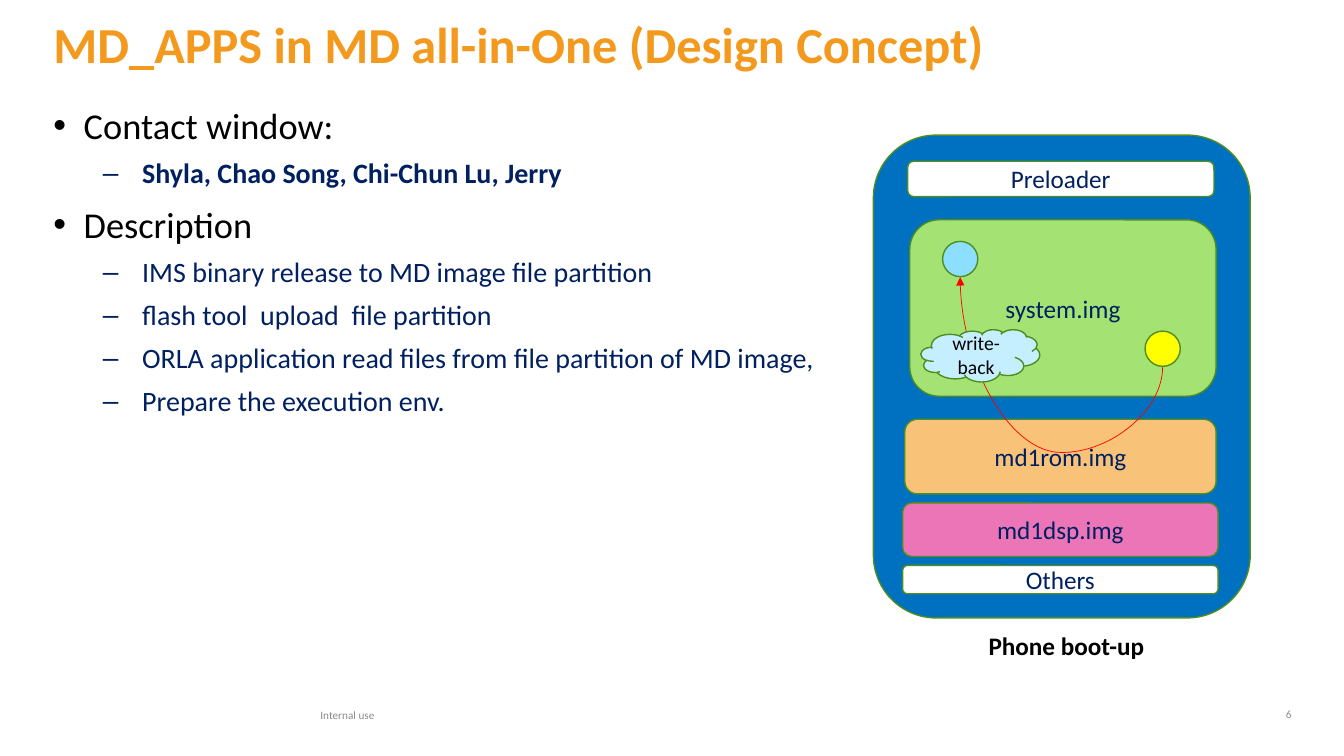
"""Build the MD_APPS design concept slide with its phone boot-up diagram."""
from lxml import etree
from pptx import Presentation
from pptx.dml.color import RGBColor
from pptx.enum import shapes, text
from pptx.oxml import ns
from pptx.util import Pt

ORANGE = RGBColor(0xF3, 0x9A, 0x1E)
BLACK = RGBColor(0, 0, 0)
WHITE = RGBColor(0xFF, 0xFF, 0xFF)
NAVY = RGBColor(0x00, 0x20, 0x60)
GREY = RGBColor(0x8C, 0x8C, 0x8C)
BLUE = RGBColor(0x00, 0x70, 0xC0)
GREEN = RGBColor(0xA4, 0xE2, 0x74)
DARK_GREEN = RGBColor(0x4E, 0x8D, 0x1E)
SAND = RGBColor(0xF8, 0xC2, 0x78)
PINK = RGBColor(0xEB, 0x75, 0xB6)
YELLOW = RGBColor(0xFF, 0xFF, 0x00)
SKY = RGBColor(0x8C, 0xDF, 0xFF)
PALE_SKY = RGBColor(0xC5, 0xEF, 0xFF)
RED = RGBColor(0xFF, 0, 0)
ROUND = shapes.MSO_SHAPE.ROUNDED_RECTANGLE
OVAL = shapes.MSO_SHAPE.OVAL
CLOUD = shapes.MSO_SHAPE.CLOUD
LEFT, CENTER, RIGHT = text.PP_ALIGN.LEFT, text.PP_ALIGN.CENTER, text.PP_ALIGN.RIGHT
TOP, MIDDLE = text.MSO_ANCHOR.TOP, text.MSO_ANCHOR.MIDDLE


def style(paragraph, size, color, bold=False, align=LEFT):
    paragraph.alignment = align
    for run in paragraph.runs:
        run.font.name = "Calibri"
        run.font.size = Pt(size)
        run.font.bold = bold
        run.font.color.rgb = color


def frame(holder, box, anchor):
    holder.left, holder.top, holder.width, holder.height = map(Pt, box)
    area = holder.text_frame
    area.margin_left = area.margin_top = area.margin_right = area.margin_bottom = 0
    area.word_wrap = True
    area.auto_size = text.MSO_AUTO_SIZE.NONE
    area.vertical_anchor = anchor
    return area


deck = Presentation()
deck.slide_width, deck.slide_height = Pt(960.5), Pt(540)
slide = deck.slides.add_slide(deck.slide_layouts[1])

heading = frame(slide.shapes.title, (38.2, 17.3, 884.2, 51.8), TOP)
heading.text = "MD_APPS in MD all-in-One (Design Concept)"
heading.paragraphs[0].line_spacing = 0.82
style(heading.paragraphs[0], 36, ORANGE, True)

POINTS = [
    (0, "Contact window:", False),
    (1, "Shyla, Chao Song, Chi-Chun Lu, Jerry", True),
    (0, "Description", False),
    (1, "IMS binary release to MD image file partition", False),
    (1, "flash tool  upload  file partition", False),
    (1, "ORLA application read files from file partition of MD image,", False),
    (1, "Prepare the execution env.", False),
]
LEVELS = [(26, BLACK, 12, 21.6, 21.6, "•"), (20, NAVY, 9, 63.4, 28.1, "–")]
outline = frame(slide.placeholders[1], (38.2, 77, 884.2, 401.8), TOP)
outline.text = "\n".join(point for _, point, _ in POINTS)
for paragraph, (level, _, bold) in zip(outline.paragraphs, POINTS):
    size, color, gap, margin, hang, bullet = LEVELS[level]
    paragraph.level = level
    paragraph.line_spacing = 0.9
    paragraph.space_before = Pt(gap)
    paragraph.space_after = Pt(0)
    style(paragraph, size, color, bold)
    properties = paragraph._p.get_or_add_pPr()
    properties.set("marL", str(Pt(margin)))
    properties.set("indent", str(-Pt(hang)))
    etree.SubElement(properties, ns.qn("a:buFont")).set("typeface", "Arial")
    etree.SubElement(properties, ns.qn("a:buChar")).set("char", bullet)

LABELS = [
    ("Internal use", (229, 504.7, 340.6, 11.5), MIDDLE, 8, GREY, False, LEFT),
    ("6", (893.5, 504, 29.5, 11.5), MIDDLE, 8, GREY, False, RIGHT),
    ("Phone boot-up", (630.7, 450, 262.8, 16.6), TOP, 18, BLACK, True, CENTER),
]
for label, box, anchor, size, color, bold, align in LABELS:
    caption = frame(slide.shapes.add_textbox(*map(Pt, box)), box, anchor)
    caption.text = label
    style(caption.paragraphs[0], size, color, bold, align)

PARTS = [
    (ROUND, (624.2, 96.5, 269.3, 344.9), BLUE, ""),
    (ROUND, (650.2, 157, 218.9, 126), GREEN, "system.img"),
    (ROUND, (646.6, 299.5, 222.5, 53.3), SAND, "md1rom.img"),
    (ROUND, (645.1, 359.3, 225.4, 38.2), PINK, "md1dsp.img"),
    (ROUND, (645.1, 403.9, 225.4, 20.2), WHITE, "Others"),
    (ROUND, (648.7, 115.2, 218.9, 25.2), WHITE, "Preloader"),
    (OVAL, (818.3, 236.5, 25.2, 25.2), YELLOW, ""),
    (OVAL, (673.6, 172.4, 25.2, 25.2), SKY, ""),
    (CLOUD, (658.1, 235.4, 85, 37.4), PALE_SKY, "write-back"),
]
for kind, box, fill, label in PARTS:
    if kind == CLOUD:
        write_path = slide.shapes.add_connector(
            shapes.MSO_CONNECTOR.CURVE, Pt(726.5), Pt(157.7), Pt(790.6), Pt(302.4))
        write_path.line.color.rgb = RED
        write_path.line.width = Pt(0.5)
        etree.SubElement(write_path.line._get_or_add_ln(), ns.qn("a:tailEnd")).set("type", "triangle")
        etree.SubElement(write_path._element.spPr, ns.qn("a:effectLst"))
        turn = write_path._element.spPr.find(ns.qn("a:xfrm"))
        turn.set("rot", str(90 * 60000))
        turn.set("flipH", "1")
        guides = write_path._element.spPr.find(ns.qn("a:prstGeom")).get_or_add_avLst()
        bend = etree.SubElement(guides, ns.qn("a:gd"))
        bend.set("name", "adj1")
        bend.set("fmla", "val -95400")
    part = slide.shapes.add_shape(kind, *map(Pt, box))
    part.shadow.inherit = False
    part.fill.solid()
    part.fill.fore_color.rgb = fill
    part.line.color.rgb = DARK_GREEN
    part.line.width = Pt(1)
    if label:
        part.text_frame.text = label
        part.text_frame.word_wrap = True
        part.text_frame.vertical_anchor = MIDDLE
        size, color = (14, BLACK) if kind == CLOUD else (18, NAVY)
        style(part.text_frame.paragraphs[0], size, color, align=CENTER)

deck.save("out.pptx")
